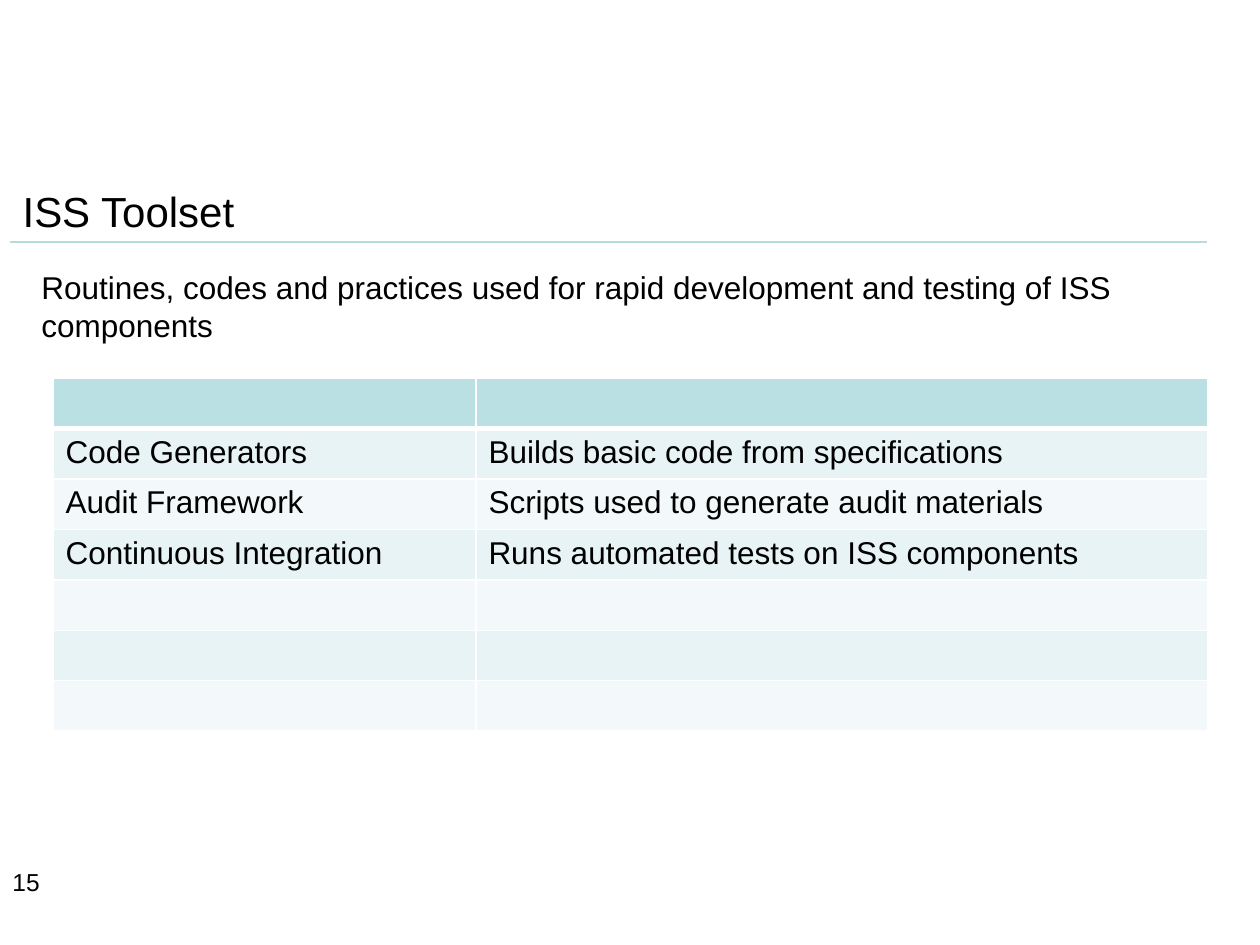
import pptx
import pptx.util
import pptx.dml.color
import pptx.enum.shapes
import pptx.enum.text
import pptx.oxml
import pptx.oxml.ns

RGB = pptx.dml.color.RGBColor
BLACK = RGB(0x00, 0x00, 0x00)
RULE = RGB(0xB6, 0xDC, 0xDF)
HEADER = RGB(0xBB, 0xE0, 0xE3)
BANDS = [RGB(0xF3, 0xF9, 0xFA), RGB(0xE7, 0xF3, 0xF4)]
PX = 914400 // 126


def set_text(tf, text, size):
    tf.text = text
    tf.word_wrap = True
    tf.vertical_anchor = pptx.enum.text.MSO_ANCHOR.TOP
    p = tf.paragraphs[0]
    p.alignment = pptx.enum.text.PP_ALIGN.LEFT
    for r in p.runs:
        r.font.name = "Arial"
        r.font.size = pptx.util.Pt(size)
        r.font.color.rgb = BLACK


def add_border(cell, side, points):
    ns = pptx.oxml.ns.nsdecls("a")
    line = pptx.oxml.parse_xml(
        f'<a:{side} {ns} w="{pptx.util.Pt(points)}"><a:solidFill>'
        f'<a:srgbClr val="FFFFFF"/></a:solidFill></a:{side}>')
    cell._tc.get_or_add_tcPr().append(line)


prs = pptx.Presentation()
prs.slide_width = 1260 * PX
prs.slide_height = 945 * PX
s = prs.slides.add_slide(prs.slide_layouts[5])

# Title
title = s.shapes.title
title.left, title.top, title.width, title.height = [v * PX for v in (10, 179, 1103, 63)]
set_text(title.text_frame, "ISS Toolset", 24)
title.text_frame.auto_size = pptx.enum.text.MSO_AUTO_SIZE.NONE

# Rule under the title
rule = s.shapes.add_connector(pptx.enum.shapes.MSO_CONNECTOR.STRAIGHT,
                              10 * PX, 242 * PX, 1207 * PX, 242 * PX)
rule.line.color.rgb = RULE
rule.line.width = pptx.util.Pt(0.75)
rule._element.spPr.append(pptx.oxml.parse_xml(
    f'<a:effectLst {pptx.oxml.ns.nsdecls("a")}/>'))

# Introduction and page number
texts = [
    ("Routines, codes and practices used for rapid development and testing of ISS components",
     18, (29, 262, 1178, 89)),
    ("15", 14, (0, 861, 294, 66)),
]
for text, size, box in texts:
    sp = s.shapes.add_textbox(*[v * PX for v in box])
    set_text(sp.text_frame, text, size)

# Table of tools
rows = [
    ("", ""),
    ("Code Generators", "Builds basic code from specifications"),
    ("Audit Framework", "Scripts used to generate audit materials"),
    ("Continuous Integration", "Runs automated tests on ISS components"),
    ("", ""),
    ("", ""),
    ("", ""),
]
col_widths = [423, 732]
row_height = 50
table = s.shapes.add_table(len(rows), len(col_widths), 53 * PX, 378 * PX,
                           sum(col_widths) * PX, len(rows) * row_height * PX).table
for col, width in zip(table.columns, col_widths):
    col.width = width * PX
for i, row in enumerate(rows):
    table.rows[i].height = row_height * PX
    for j, text in enumerate(row):
        cell = table.cell(i, j)
        set_text(cell.text_frame, text, 18)
        for side in ("lnL", "lnR", "lnT", "lnB"):
            heavy = (i, side) in ((0, "lnB"), (1, "lnT"))
            add_border(cell, side, 3 if heavy else 1)
        cell.fill.solid()
        cell.fill.fore_color.rgb = BANDS[i % 2] if i else HEADER

prs.save("out.pptx")
